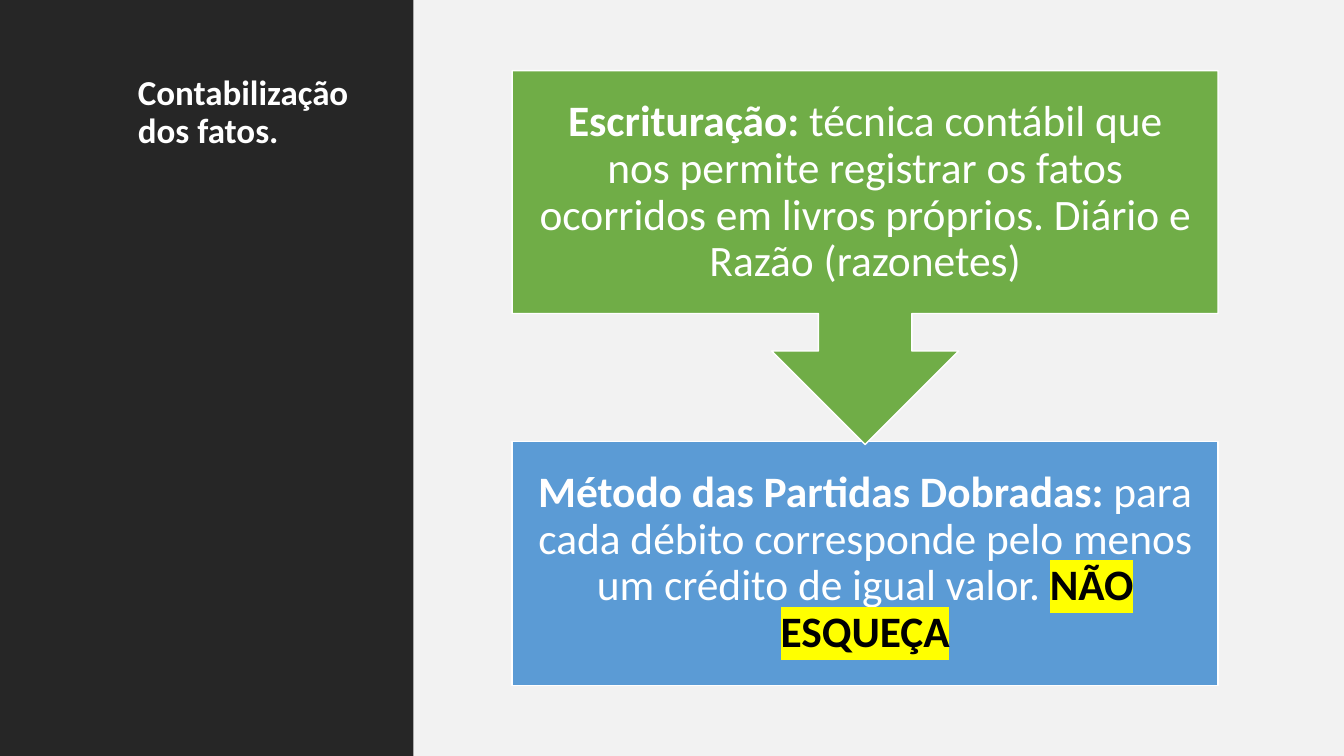
"""Builds a slide on bookkeeping: entries lead to the double-entry method."""
from lxml import etree
from pptx import Presentation
from pptx.dml.color import RGBColor
from pptx.enum.shapes import MSO_SHAPE
from pptx.enum.text import MSO_ANCHOR, PP_ALIGN
from pptx.oxml.ns import qn
from pptx.util import Inches, Pt

RECTANGLE, CALLOUT = MSO_SHAPE.RECTANGLE, MSO_SHAPE.UP_ARROW_CALLOUT
TOP, MIDDLE = MSO_ANCHOR.TOP, MSO_ANCHOR.MIDDLE
LEFT, CENTER = PP_ALIGN.LEFT, PP_ALIGN.CENTER

COLORS = {"panel": "F2F2F2", "sidebar": "262626", "white": "FFFFFF", "black": "000000",
          "green": "70AD47", "blue": "5B9BD5", "yellow": "FFFF00"}

TITLE = [("Contabilização dos fatos.", "bold")]
BOOKKEEPING = [
    ("Escrituração:", "bold"),
    (" técnica contábil que nos permite registrar os fatos ocorridos em livros próprios. "
     "Diário e Razão (razonetes)", "plain"),
]
DOUBLE_ENTRY = [
    ("Método das Partidas Dobradas:", "bold"),
    (" para cada débito corresponde pelo menos um crédito de igual valor. ", "plain"),
    ("NÃO ESQUEÇA", "marked"),
]

SLIDE_W, SLIDE_H = 13.33, 7.5
SIDEBAR_W = 4.1
STEP_LEFT, STEP_W, STEP_H = 5.08, 7, 2.42
FIRST_TOP, SECOND_TOP, CALLOUT_H = 0.7, 4.38, 3.71
STEP_INSET = 0.24


def color(name):
    return RGBColor.from_string(COLORS[name])


def add_block(slide, preset, box, fill, outlined=False):
    block = slide.shapes.add_shape(preset, *map(Inches, box))
    block.shadow.inherit = False
    block.fill.solid()
    block.fill.fore_color.rgb = color(fill)
    if outlined:
        block.line.color.rgb = color("white")
        block.line.width = Pt(1)
    else:
        block.line.fill.background()
    return block


def write_text(frame, runs, size=31, align=CENTER, anchor=MIDDLE, inset=STEP_INSET):
    frame.word_wrap = True
    frame.vertical_anchor = anchor
    if inset is not None:
        frame.margin_left = frame.margin_right = Inches(inset)
        frame.margin_top = frame.margin_bottom = Inches(inset)
    paragraph = frame.paragraphs[0]
    paragraph.alignment = align
    paragraph.line_spacing = 0.9
    for words, style in runs:
        run = paragraph.add_run()
        run.text = words
        run.font.name = "Calibri"
        run.font.size = Pt(size)
        run.font.bold = style != "plain"
        run.font.color.rgb = color("black" if style == "marked" else "white")
        if style == "marked":
            highlight = etree.Element(qn("a:highlight"))
            etree.SubElement(highlight, qn("a:srgbClr"), val=COLORS["yellow"])
            run.font._element.find(qn("a:solidFill")).addnext(highlight)


def add_text(slide, box, runs, **text_format):
    write_text(slide.shapes.add_textbox(*map(Inches, box)).text_frame, runs, **text_format)


def main():
    deck = Presentation()
    deck.slide_width, deck.slide_height = Inches(SLIDE_W), Inches(SLIDE_H)
    slide = deck.slides.add_slide(deck.slide_layouts[6])

    add_block(slide, RECTANGLE, (SIDEBAR_W, 0, SLIDE_W - SIDEBAR_W, SLIDE_H), "panel")
    add_block(slide, RECTANGLE, (0, 0, SIDEBAR_W, SLIDE_H), "sidebar")
    add_text(slide, (1.27, FIRST_TOP, 2.4, 6.1), TITLE,
             size=25, align=LEFT, anchor=TOP, inset=None)

    double_entry = add_block(slide, RECTANGLE, (STEP_LEFT, SECOND_TOP, STEP_W, STEP_H),
                             "blue", outlined=True)
    write_text(double_entry.text_frame, DOUBLE_ENTRY)

    bookkeeping = add_block(slide, CALLOUT, (STEP_LEFT, FIRST_TOP, STEP_W, CALLOUT_H),
                            "green", outlined=True)
    bookkeeping.rotation = 180
    add_text(slide, (STEP_LEFT, FIRST_TOP, STEP_W, STEP_H), BOOKKEEPING)

    deck.save("out.pptx")


if __name__ == "__main__":
    main()
